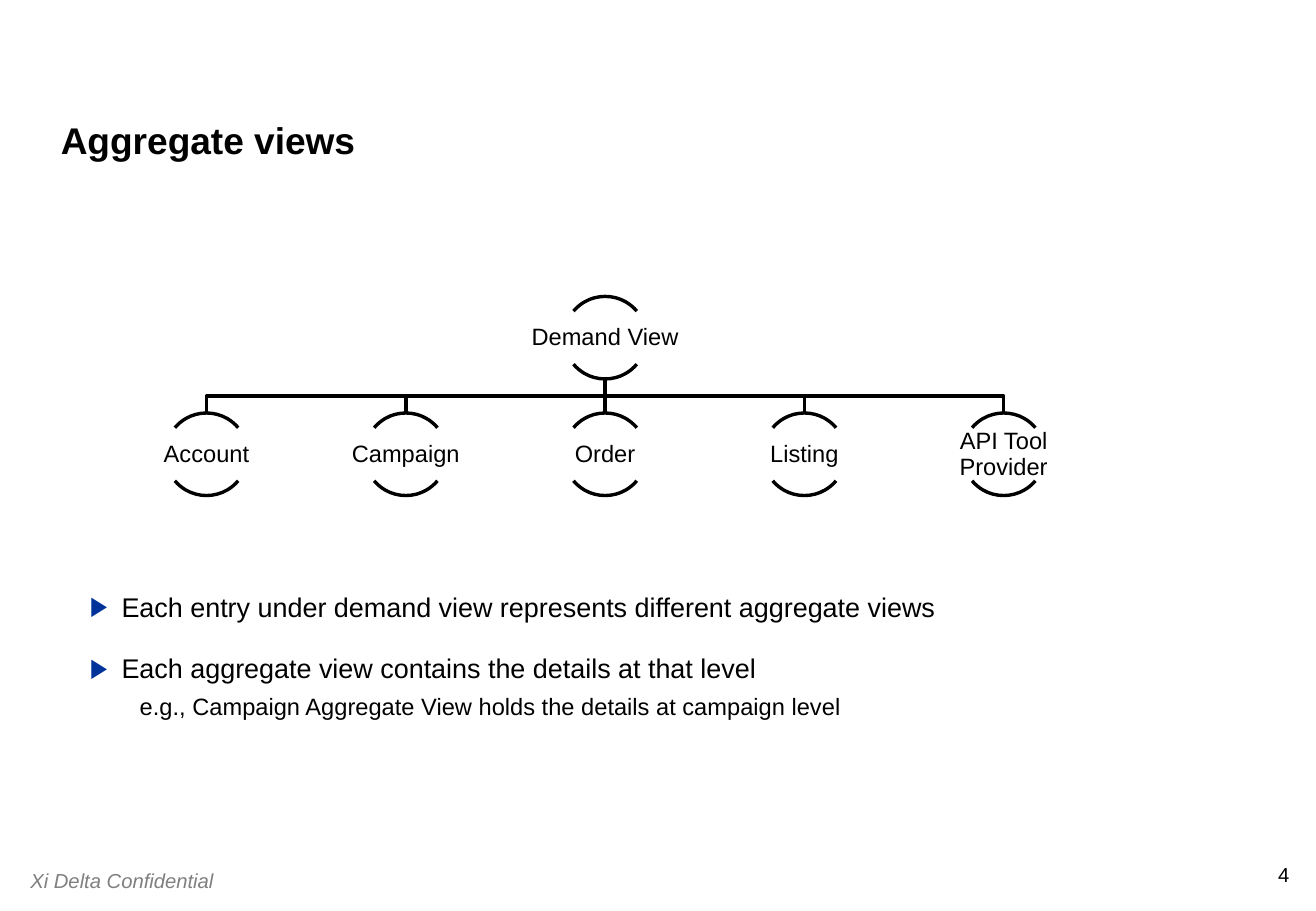
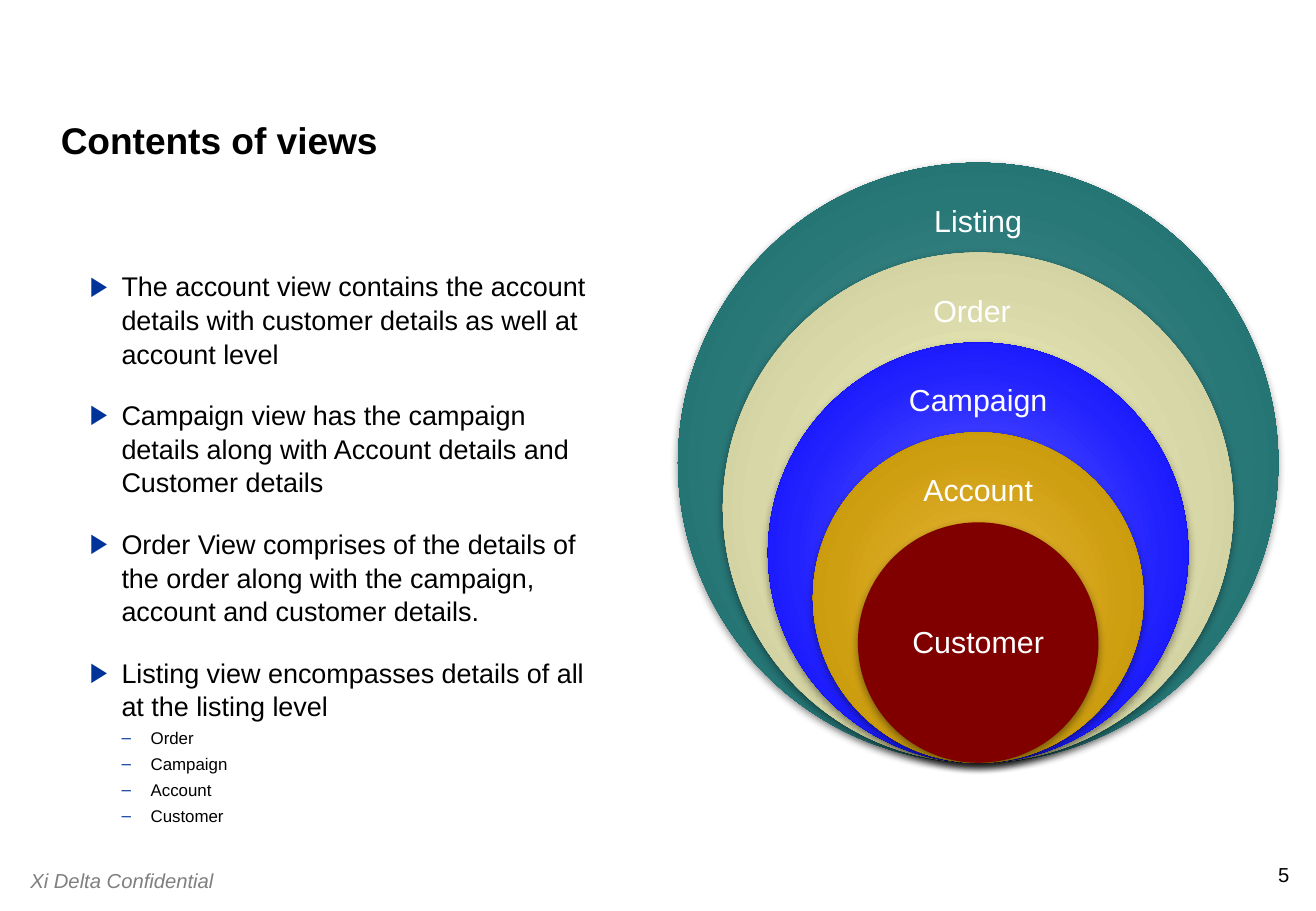
"""Build two slides about aggregate views."""
import dataclasses
from typing import Any

import lxml.etree
import pptx
import pptx.dml.color
import pptx.enum.shapes
import pptx.enum.text
import pptx.oxml.ns
import pptx.util

Inches = pptx.util.Inches
Pt = pptx.util.Pt
Shape = pptx.enum.shapes.MSO_SHAPE
Align = pptx.enum.text.PP_ALIGN
Anchor = pptx.enum.text.MSO_ANCHOR
qname = pptx.oxml.ns.qn

BLACK, WHITE, GREY, BLUE = "000000", "FFFFFF", "808080", "003399"
MID, PITCH = 4.98, 1.64
ROOT_TOP, LEAF_TOP, NODE = 2.44, 3.4, 0.68
CORE, BASE, STEP = 8.05, 6.28, 0.74


@dataclasses.dataclass(frozen=True)
class Box:
    left: float
    top: float
    width: float
    height: float

    def lengths(self) -> list[int]:
        return [Inches(v) for v in (self.left, self.top, self.width, self.height)]


@dataclasses.dataclass(frozen=True)
class Style:
    size: float
    color: str = BLACK
    bold: bool = False
    slant: bool = False
    align: Any = Align.LEFT
    space: float = 1.0
    before: float = 0
    anchor: Any = Anchor.TOP
    inset: float = 0


@dataclasses.dataclass(frozen=True)
class Level:
    style: Style
    depth: int
    margin: float
    indent: float
    mark: str = ""


@dataclasses.dataclass(frozen=True)
class Item:
    text: str
    level: Level


@dataclasses.dataclass(frozen=True)
class Ring:
    name: str
    colors: tuple[str, ...]
    shift: float = 0
    drop: float = 0.25
    height: float = 0.48


TITLE = Style(22, bold=True, space=0.9, anchor=Anchor.BOTTOM)
FOOT = Style(12, GREY, slant=True, before=1.2, inset=0.05)
PAGE = Style(12, align=Align.RIGHT)
LEAF = Style(14, align=Align.CENTER, space=0.9, anchor=Anchor.MIDDLE, inset=0.01)
LABEL = Style(18, WHITE, align=Align.CENTER, space=0.9, anchor=Anchor.MIDDLE, inset=0.14)

POINT = Level(Style(16, space=1.04, before=16.5), 0, 0.26, -0.26, "▶")
NOTE = Level(Style(14, space=0.9, before=6.4), 1, 0.41, 0)
DASH = Level(Style(10, space=0.9, before=4.5), 1, 0.5, -0.24, "–")

LEAVES = ("Account", "Campaign", "Order", "Listing", "API Tool Provider")
VIEWS = (
    Item("Each entry under demand view represents different aggregate views", POINT),
    Item("Each aggregate view contains the details at that level", POINT),
    Item("e.g., Campaign Aggregate View holds the details at campaign level", NOTE),
)
PARTS = (
    Item("The account view contains the account details with customer details as well at account level", POINT),
    Item("Campaign view has the campaign details along with Account details and Customer details", POINT),
    Item("Order View comprises of the details of the order along with the campaign, account and customer details.", POINT),
    Item("Listing view encompasses details of all at the listing level", POINT),
    *(Item(name, DASH) for name in ("Order", "Campaign", "Account", "Customer")),
)
STOPS = (0, 15, 62, 97, 100)
RINGS = (
    Ring("Listing", ("478A8A", "478A8A", "297878", "146A6A", "005353")),
    Ring("Order", ("EFEEBB", "EEEDBB", "D8D7A7", "C3C295", "C1C092"), shift=-0.05),
    Ring("Campaign", ("5555FF", "5454FF", "2222FF", "0000F7", "0000CF")),
    Ring("Account", ("E2B031", "E1B030", "CF9F12", "BD9000", "977A00")),
    Ring("Customer", ("800000",), drop=0.5, height=1),
)


def ink(code: str) -> pptx.dml.color.RGBColor:
    """Turn a hex string into a colour."""
    return pptx.dml.color.RGBColor.from_string(code)


def adorn(target: Any, values: dict[str, Any]) -> None:
    """Set each named value on the target."""
    for name, value in values.items():
        setattr(target, name, value)


def node(parent: Any, tag: str, **values: Any) -> Any:
    """Append a drawing element to its parent."""
    attrs = {key: str(value) for key, value in values.items()}
    return lxml.etree.SubElement(parent, qname("a:" + tag), attrs)


def setup(frame: Any, style: Style) -> None:
    """Format a text frame."""
    adorn(frame, {
        "word_wrap": True,
        "auto_size": pptx.enum.text.MSO_AUTO_SIZE.NONE,
        "vertical_anchor": style.anchor,
        **{"margin_" + side: Inches(style.inset) for side in ("left", "top", "right", "bottom")},
    })


def write(para: Any, text: str, style: Style) -> None:
    """Fill a paragraph with one styled run."""
    adorn(para, {
        "alignment": style.align,
        "line_spacing": style.space,
        "space_before": Pt(style.before),
        "space_after": Pt(0),
    })
    run = para.add_run()
    run.text = text
    adorn(run.font, {
        "name": "Arial", "size": Pt(style.size), "bold": style.bold, "italic": style.slant,
    })
    run.font.color.rgb = ink(style.color)


def place(holder: Any, box: Box) -> None:
    """Move and size a placeholder."""
    adorn(holder, dict(zip(("left", "top", "width", "height"), box.lengths())))


def label(slide: Any, box: Box, text: str, style: Style) -> None:
    """Add a text box with one paragraph."""
    frame = slide.shapes.add_textbox(*box.lengths()).text_frame
    setup(frame, style)
    write(frame.paragraphs[0], text, style)


def bullet(para: Any, level: Level) -> None:
    """Give a paragraph its level, indent and mark."""
    para.level = level.depth
    props = para._p.get_or_add_pPr()
    props.set("marL", str(Inches(level.margin)))
    props.set("indent", str(Inches(level.indent)))
    if level.mark:
        node(node(props, "buClr"), "srgbClr", val=BLUE)
        node(props, "buFont", typeface="Arial")
        node(props, "buChar", char=level.mark)
    else:
        node(props, "buNone")


def start(deck: Any, page: int, title: str, box: Box, items: tuple[Item, ...]) -> Any:
    """Add a slide with title, list and footer."""
    slide = deck.slides.add_slide(deck.slide_layouts[1])
    head, body = slide.shapes.title, slide.placeholders[1]
    place(head, Box(0.5, 0.42, 9.83, 0.92))
    setup(head.text_frame, TITLE)
    write(head.text_frame.paragraphs[0], title, TITLE)
    place(body, box)
    frame = body.text_frame
    setup(frame, POINT.style)
    for rank, item in enumerate(items):
        para = frame.add_paragraph() if rank else frame.paragraphs[0]
        write(para, item.text, item.level.style)
        bullet(para, item.level)
    label(slide, Box(10.4, 7.1, 0.21, 0.2), str(page), PAGE)
    label(slide, Box(0.2, 7.1, 2, 0.3), "Xi Delta Confidential", FOOT)
    return slide


def stroke(shape: Any) -> None:
    """Give a shape a plain black outline."""
    shape.line.color.rgb = ink(BLACK)
    shape.line.width = Pt(2)


def branch(slide: Any, end: float) -> None:
    """Link the root to one leaf."""
    top, bend = ROOT_TOP + NODE, 3.26
    if end == MID:
        link = slide.shapes.add_connector(
            pptx.enum.shapes.MSO_CONNECTOR.STRAIGHT,
            Inches(MID), Inches(top), Inches(MID), Inches(LEAF_TOP))
        node(link.element.spPr, "effectLst")
    else:
        path = slide.shapes.build_freeform(Inches(MID), Inches(top))
        turns = ((MID, bend), (end, bend), (end, LEAF_TOP))
        path.add_line_segments([(Inches(x), Inches(y)) for x, y in turns], close=False)
        link = path.convert_to_shape()
        link.fill.background()
        link.shadow.inherit = False
    stroke(link)


def entry(slide: Any, mid: float, top: float, text: str) -> None:
    """Draw a name between two arcs."""
    for angles in ((220, 320), (40, 140)):
        arc = slide.shapes.add_shape(Shape.ARC, *Box(mid - NODE / 2, top, NODE, NODE).lengths())
        for rank, angle in enumerate(angles):
            arc.adjustments[rank] = angle * 0.6
        arc.fill.background()
        arc.shadow.inherit = False
        stroke(arc)
    label(slide, Box(mid - NODE, top + 0.13, 2 * NODE, 0.43), text, LEAF)


def paint(shape: Any, colors: tuple[str, ...]) -> None:
    """Fill a shape with one colour or a round gradient."""
    if len(colors) == 1:
        shape.fill.solid()
        shape.fill.fore_color.rgb = ink(colors[0])
        return
    shape.fill.gradient()
    grade = shape.element.spPr.find(qname("a:gradFill"))
    for child in list(grade):
        grade.remove(child)
    stops = node(grade, "gsLst")
    for stop, color in zip(STOPS, colors):
        node(node(stops, "gs", pos=stop * 1000), "srgbClr", val=color)
    node(node(grade, "path", path="circle"), "fillToRect", l=50000, t=50000, r=50000, b=50000)


def shade(shape: Any) -> None:
    """Cast a soft shadow below a shape."""
    shape.shadow.inherit = False
    effects = shape.element.spPr.find(qname("a:effectLst"))
    cast = node(effects, "outerShdw", blurRad=Pt(5), dist=Pt(2), dir=5400000, rotWithShape=0)
    node(node(cast, "srgbClr", val=BLACK), "alpha", val=43000)


def circle(slide: Any, rank: int, ring: Ring) -> None:
    """Draw one nested circle and its name."""
    size = 4.94 - rank * STEP
    top = BASE - size
    disc = slide.shapes.add_shape(Shape.OVAL, *Box(CORE - size / 2, top, size, size).lengths())
    paint(disc, ring.colors)
    disc.line.fill.background()
    shade(disc)
    label(slide, Box(CORE - 0.9 + ring.shift, top + ring.drop, 1.8, ring.height), ring.name, LABEL)


def main() -> None:
    """Build and save the deck."""
    deck = pptx.Presentation()
    adorn(deck, {"slide_width": Inches(10.83), "slide_height": Inches(7.5)})
    slide = start(deck, 4, "Aggregate views", Box(0.74, 4.85, 9.34, 1.75), VIEWS)
    spots = [MID + (rank - 2) * PITCH for rank in range(len(LEAVES))]
    for spot in spots:
        branch(slide, spot)
    entry(slide, MID, ROOT_TOP, "Demand View")
    for spot, name in zip(spots, LEAVES):
        entry(slide, spot, LEAF_TOP, name)
    slide = start(deck, 5, "Contents of views", Box(0.74, 2.21, 4.12, 4.08), PARTS)
    for rank, ring in enumerate(RINGS):
        circle(slide, rank, ring)
    deck.save("out.pptx")


if __name__ == "__main__":
    main()
